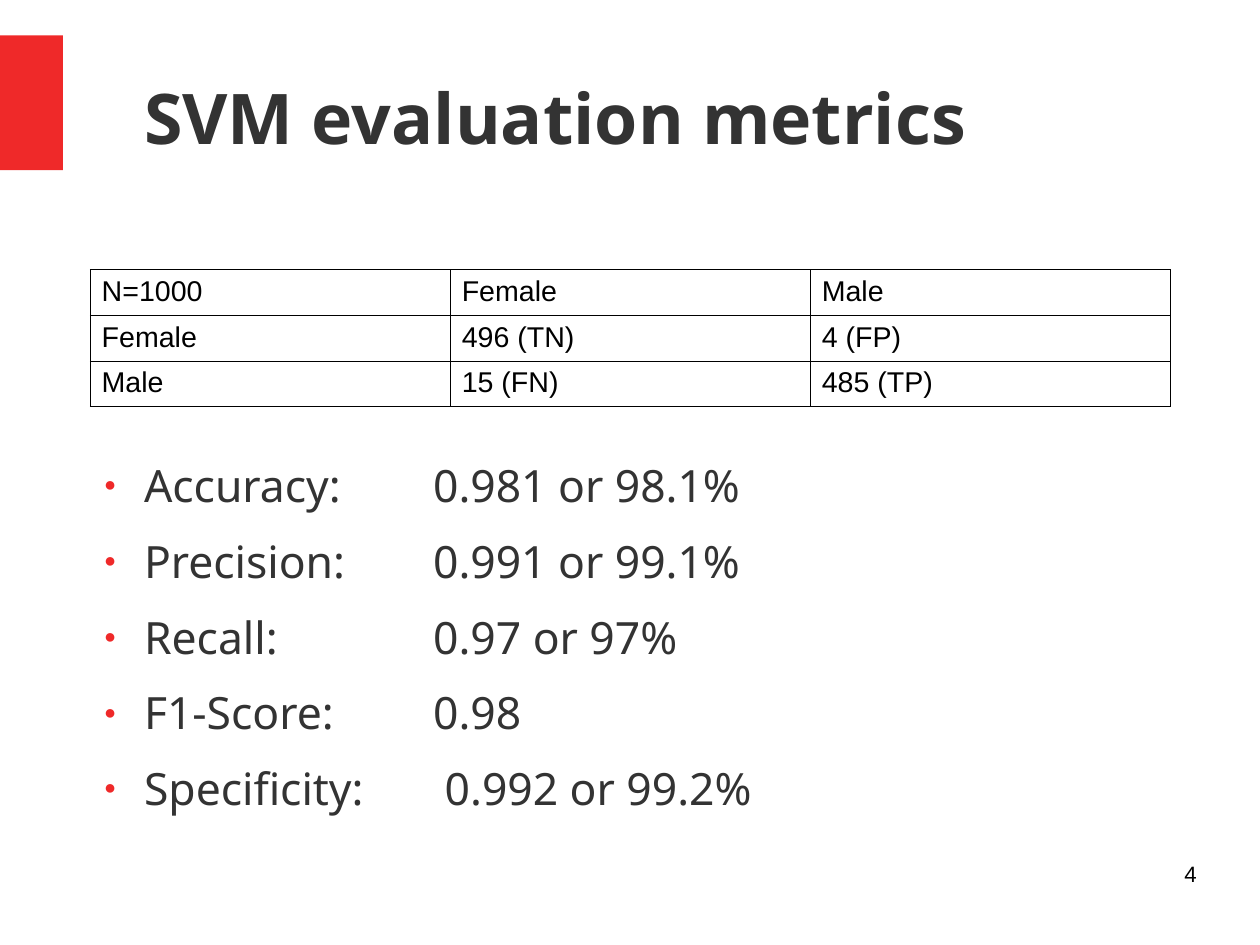
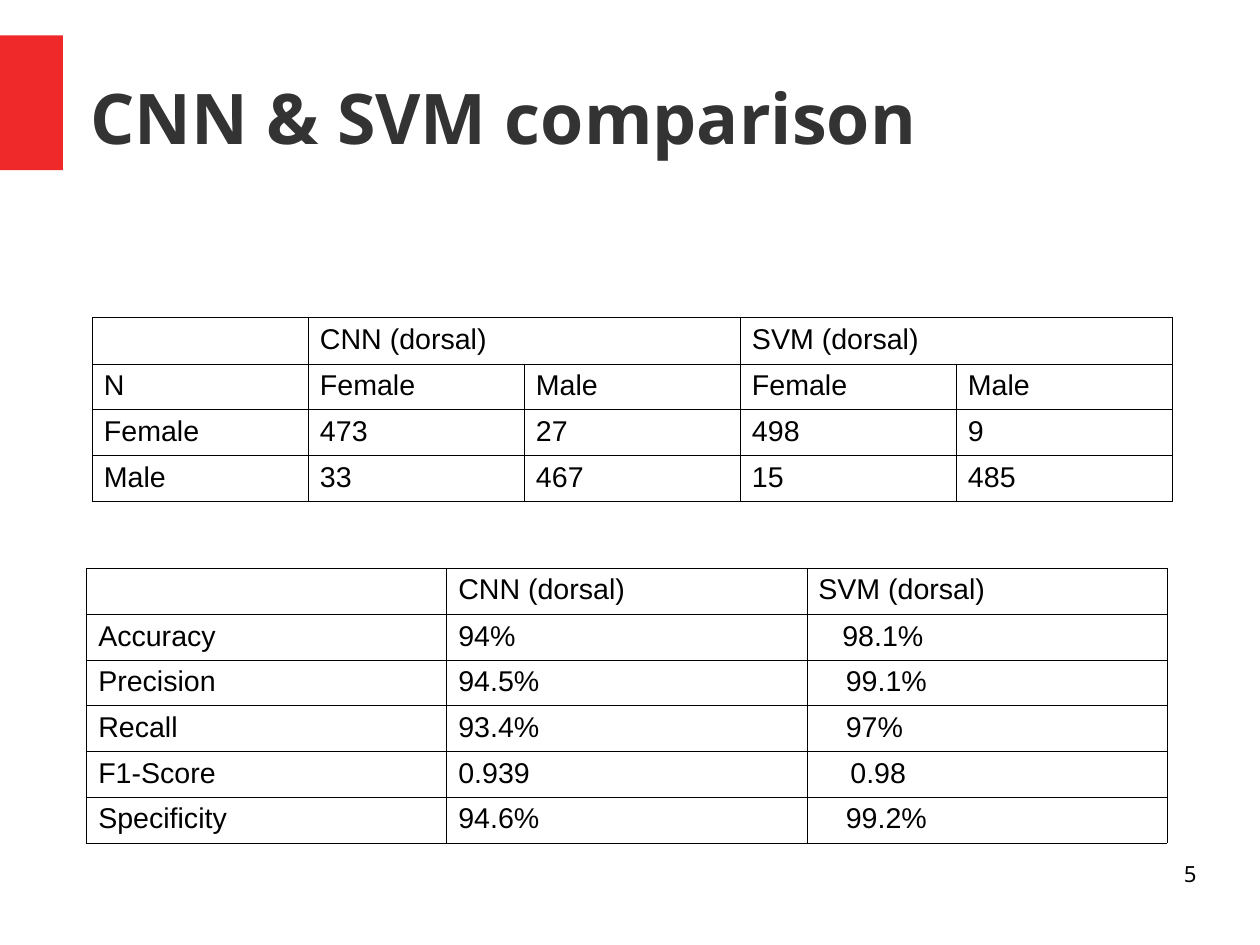
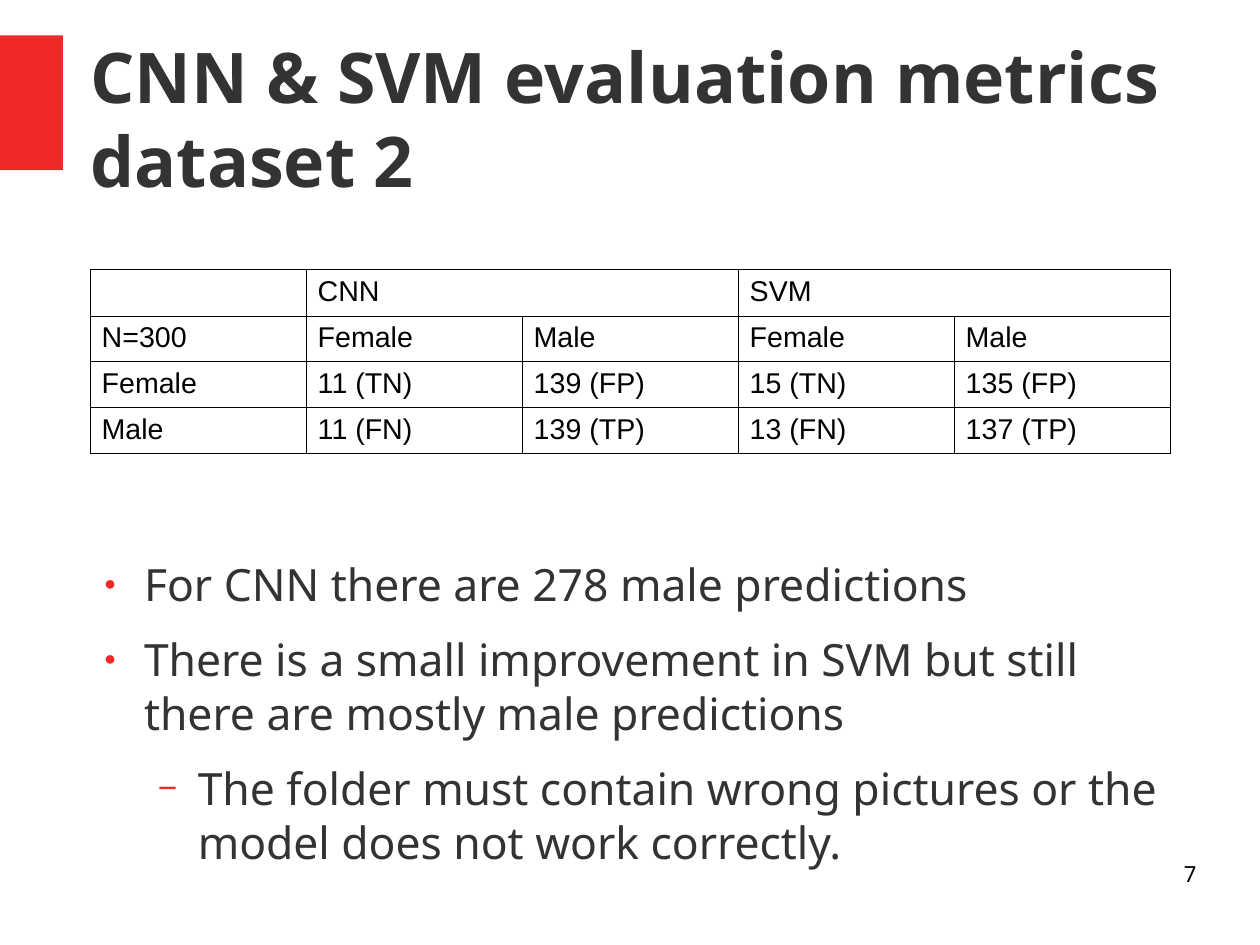
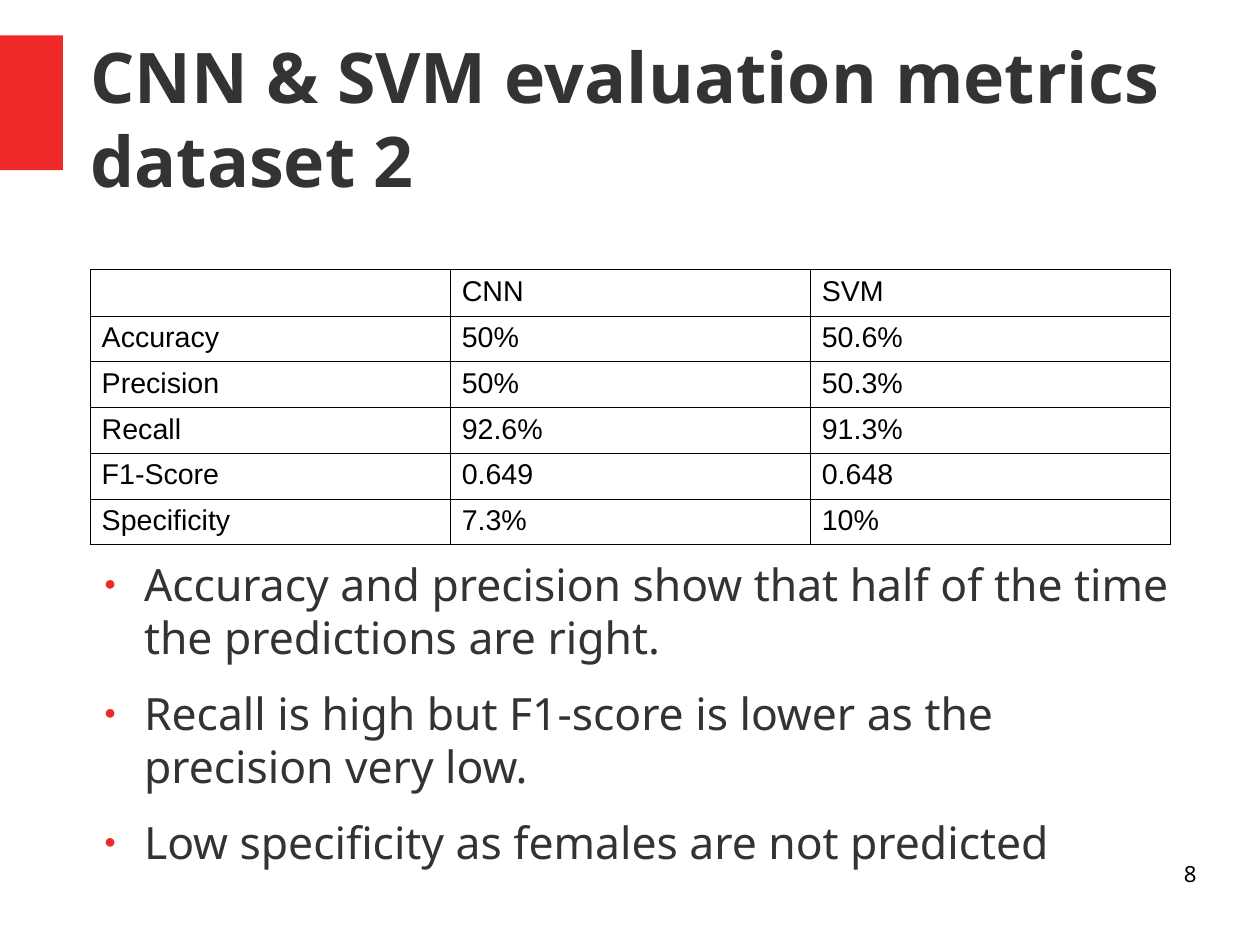
from dataclasses import dataclass

from lxml.etree import SubElement
from pptx import Presentation
from pptx.dml.color import RGBColor
from pptx.enum.shapes import MSO_SHAPE
from pptx.enum.text import MSO_ANCHOR, MSO_AUTO_SIZE, PP_ALIGN
from pptx.oxml.ns import qn
from pptx.util import Inches, Pt


@dataclass(frozen=True)
class Theme:
    accent: str = "EF2929"
    heading: str = "333333"
    ink: str = "000000"
    text_font: str = "Noto Sans"
    table_font: str = "Arial"
    title_size: int = 44
    body_size: int = 28
    table_size: int = 18
    number_size: int = 14
    border_width: float = 0.57


theme = Theme()

BULLETS = [
    {"indent": 0.47, "after": 14.1, "character": "●", "size": 45},
    {"indent": 0.94, "after": 11.3, "character": "−", "size": 75},
]
HANGING = 0.35
VALUE_TAB = 3
ROW_HEIGHT = 0.4
TABLE_WIDTH = 9.45
CENTIMETRES_PER_INCH = 2.54

SLIDES = [
    {
        "number": "4",
        "number_font": theme.table_font,
        "title": "SVM evaluation metrics",
        "title_box": (0.79, 0.33, 9.68, 1.38),
        "title_indent": 0.47,
        "tables": [
            {
                "at": (0.79, 2.36),
                "rows": [
                    ["N=1000", "Female", "Male"],
                    ["Female", "496 (TN)", "4 (FP)"],
                    ["Male", "15 (FN)", "485 (TP)"],
                ],
            }
        ],
        "body_box": (0.79, 4.01, 9.45, 3.86),
        "body": [
            (0, "Accuracy:\t0.981 or 98.1%"),
            (0, "Precision:\t0.991 or 99.1%"),
            (0, "Recall:\t0.97 or 97%"),
            (0, "F1-Score:\t0.98"),
            (0, "Specificity:\t 0.992 or 99.2%"),
        ],
    },
    {
        "number": "5",
        "title": "CNN & SVM comparison",
        "title_box": (0.79, 0.33, 9.68, 1.38),
        "tables": [
            {
                "at": (0.76, 4.97),
                "rows": [
                    ["", "CNN (dorsal)", "SVM (dorsal)"],
                    ["Accuracy", "94%", "98.1%"],
                    ["Precision", "94.5%", "99.1%"],
                    ["Recall", "93.4%", "97%"],
                    ["F1-Score", "0.939", "0.98"],
                    ["Specificity", "94.6%", "99.2%"],
                ],
                "last_column_indents": [0, 0.21, 0.24, 0.24, 0.28, 0.24],
            },
            {
                "at": (0.81, 2.78),
                "rows": [
                    ["", "CNN (dorsal)", None, "SVM (dorsal)", None],
                    ["N", "Female", "Male", "Female", "Male"],
                    ["Female", "473", "27", "498", "9"],
                    ["Male", "33", "467", "15", "485"],
                ],
            },
        ],
    },
    {
        "number": "7",
        "title": "CNN & SVM evaluation metrics dataset 2",
        "title_box": (0.79, 0.19, 9.68, 1.67),
        "tables": [
            {
                "at": (0.79, 2.36),
                "rows": [
                    ["", "CNN", None, "SVM", None],
                    ["N=300", "Female", "Male", "Female", "Male"],
                    ["Female", "11 (TN)", "139 (FP)", "15 (TN)", "135 (FP)"],
                    ["Male", "11 (FN)", "139 (TP)", "13 (FN)", "137 (TP)"],
                ],
            }
        ],
        "body_box": (0.79, 4.87, 9.45, 2.29),
        "body": [
            (0, "For CNN there are 278 male predictions"),
            (0, "There is a small improvement in SVM but still there are mostly male predictions"),
            (1, "The folder must contain wrong pictures or the model does not work correctly."),
        ],
    },
    {
        "number": "8",
        "title": "CNN & SVM evaluation metrics dataset 2",
        "title_box": (0.79, 0.19, 9.68, 1.67),
        "tables": [
            {
                "at": (0.79, 2.36),
                "rows": [
                    ["", "CNN", "SVM"],
                    ["Accuracy", "50%", "50.6%"],
                    ["Precision", "50%", "50.3%"],
                    ["Recall", "92.6%", "91.3%"],
                    ["F1-Score", "0.649", "0.648"],
                    ["Specificity", "7.3%", "10%"],
                ],
            }
        ],
        "body_box": (0.79, 4.87, 9.45, 2.29),
        "body": [
            (0, "Accuracy and precision show that half of the time the predictions are right."),
            (0, "Recall is high but F1-score is lower as the precision very low."),
            (0, "Low specificity as females are not predicted"),
        ],
    },
]


def prepare_frame(shape, box, anchor=MSO_ANCHOR.TOP):
    shape.left, shape.top, shape.width, shape.height = map(Inches, box)
    frame = shape.text_frame
    frame.word_wrap = True
    frame.auto_size = MSO_AUTO_SIZE.NONE
    frame.vertical_anchor = anchor
    frame.margin_left = frame.margin_top = frame.margin_right = frame.margin_bottom = 0
    return frame


def add_text(paragraph, text, size, color, font_name=theme.text_font, bold=False):
    run = paragraph.add_run()
    run.text = text
    run.font.name = font_name
    run.font.size = Pt(size)
    run.font.bold = bold
    run.font.color.rgb = RGBColor.from_string(color)


presentation = Presentation()
presentation.slide_width = Inches(28 / CENTIMETRES_PER_INCH)
presentation.slide_height = Inches(21 / CENTIMETRES_PER_INCH)
content_layout = presentation.slide_layouts.get_by_name("Title and Content")
title_layout = presentation.slide_layouts.get_by_name("Title Only")

for index, content in enumerate(SLIDES):
    slide = presentation.slides.add_slide(content_layout if "body" in content else title_layout)

    if index == 0:
        band = slide.shapes.add_shape(
            MSO_SHAPE.RECTANGLE, 0, Inches(0.31), Inches(0.55), Inches(1.18)
        )
        band.shadow.inherit = False
        band.fill.solid()
        band.fill.fore_color.rgb = RGBColor.from_string(theme.accent)
        band.line.fill.background()
        presentation.slide_master.shapes.element.insert(2, band.element)

    title_frame = prepare_frame(slide.shapes.title, content["title_box"], MSO_ANCHOR.MIDDLE)
    paragraph = title_frame.paragraphs[0]
    paragraph.alignment = PP_ALIGN.LEFT
    if "title_indent" in content:
        paragraph._p.get_or_add_pPr().set("marL", str(Inches(content["title_indent"])))
    add_text(paragraph, content["title"], theme.title_size, theme.heading, bold=True)

    for table_content in content["tables"]:
        rows = table_content["rows"]
        left, top = table_content["at"]
        column_count = len(rows[0])
        table = slide.shapes.add_table(
            len(rows), column_count, Inches(left), Inches(top),
            Inches(TABLE_WIDTH), Inches(ROW_HEIGHT * len(rows)),
        ).table
        table.first_row = table.horz_banding = False
        indents = table_content.get("last_column_indents", [0] * len(rows))
        for row_index, row in enumerate(rows):
            for column_index, text in enumerate(row):
                cell = table.cell(row_index, column_index)
                properties = cell._tc.get_or_add_tcPr()
                for side in ("a:lnL", "a:lnR", "a:lnT", "a:lnB"):
                    border = SubElement(properties, qn(side), w=str(Pt(theme.border_width)))
                    border_fill = SubElement(border, qn("a:solidFill"))
                    SubElement(border_fill, qn("a:srgbClr"), val=theme.ink)
                cell.fill.background()
                if text is None:
                    table.cell(row_index, column_index - 1).merge(cell)
                elif text:
                    paragraph = cell.text_frame.paragraphs[0]
                    if column_index == column_count - 1 and indents[row_index]:
                        paragraph._p.get_or_add_pPr().set("marL", str(Inches(indents[row_index])))
                    add_text(paragraph, text, theme.table_size, theme.ink, theme.table_font)

    if "body" in content:
        body_frame = prepare_frame(slide.placeholders[1], content["body_box"])
        for item_index, (level, text) in enumerate(content["body"]):
            paragraph = body_frame.add_paragraph() if item_index else body_frame.paragraphs[0]
            bullet = BULLETS[level]
            paragraph.level = level
            properties = paragraph._p.get_or_add_pPr()
            properties.set("marL", str(Inches(bullet["indent"])))
            properties.set("indent", str(Inches(-HANGING)))
            bullet_color = SubElement(properties, qn("a:buClr"))
            SubElement(bullet_color, qn("a:srgbClr"), val=theme.accent)
            SubElement(properties, qn("a:buSzPct"), val=str(bullet["size"] * 1000))
            SubElement(properties, qn("a:buChar"), char=bullet["character"])
            if "\t" in text:
                tabs = SubElement(properties, qn("a:tabLst"))
                SubElement(tabs, qn("a:tab"), pos=str(Inches(VALUE_TAB)), algn="l")
            paragraph.space_before = Pt(0)
            paragraph.space_after = Pt(bullet["after"])
            add_text(paragraph, text, theme.body_size, theme.heading)

    number_box = slide.shapes.add_textbox(0, 0, 0, 0)
    number_frame = prepare_frame(number_box, (7.9, 7.53, 2.57, 0.57))
    paragraph = number_frame.paragraphs[0]
    paragraph.alignment = PP_ALIGN.RIGHT
    add_text(
        paragraph, content["number"], theme.number_size, theme.ink,
        content.get("number_font", theme.text_font),
    )

presentation.save("out.pptx")
